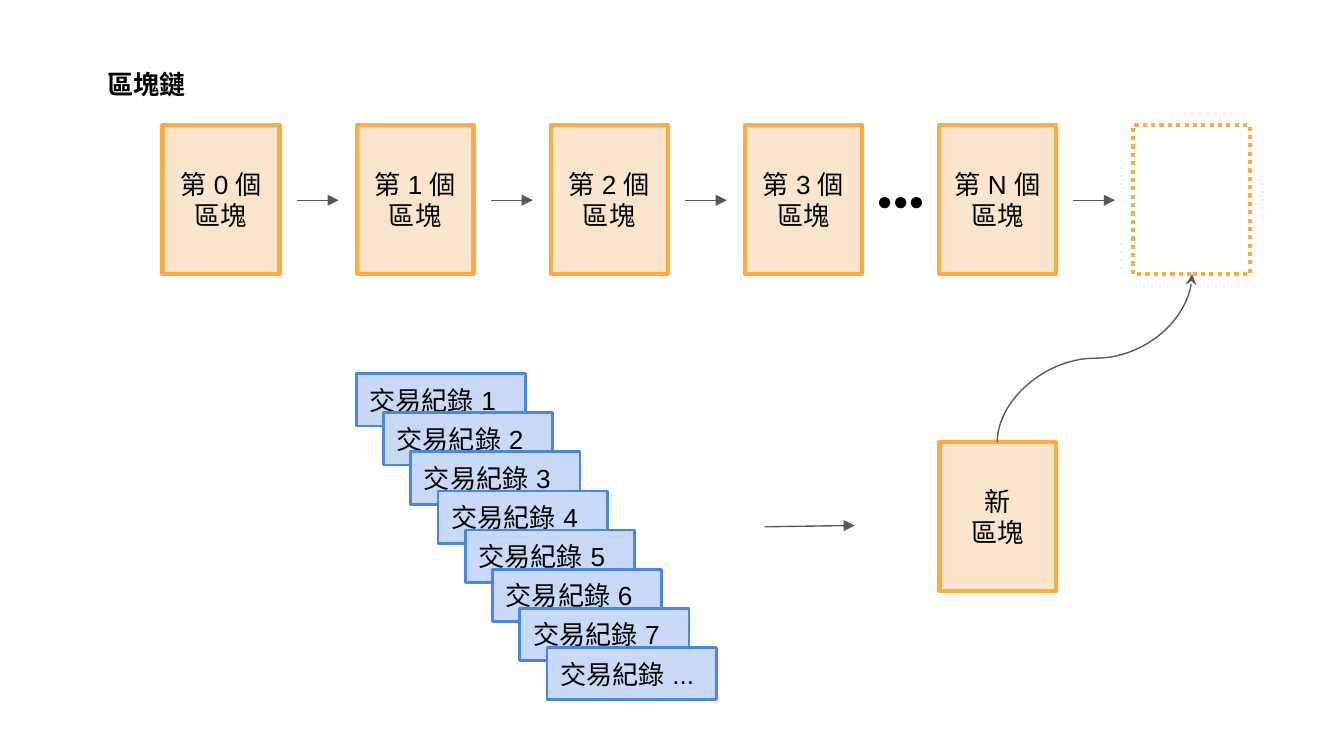
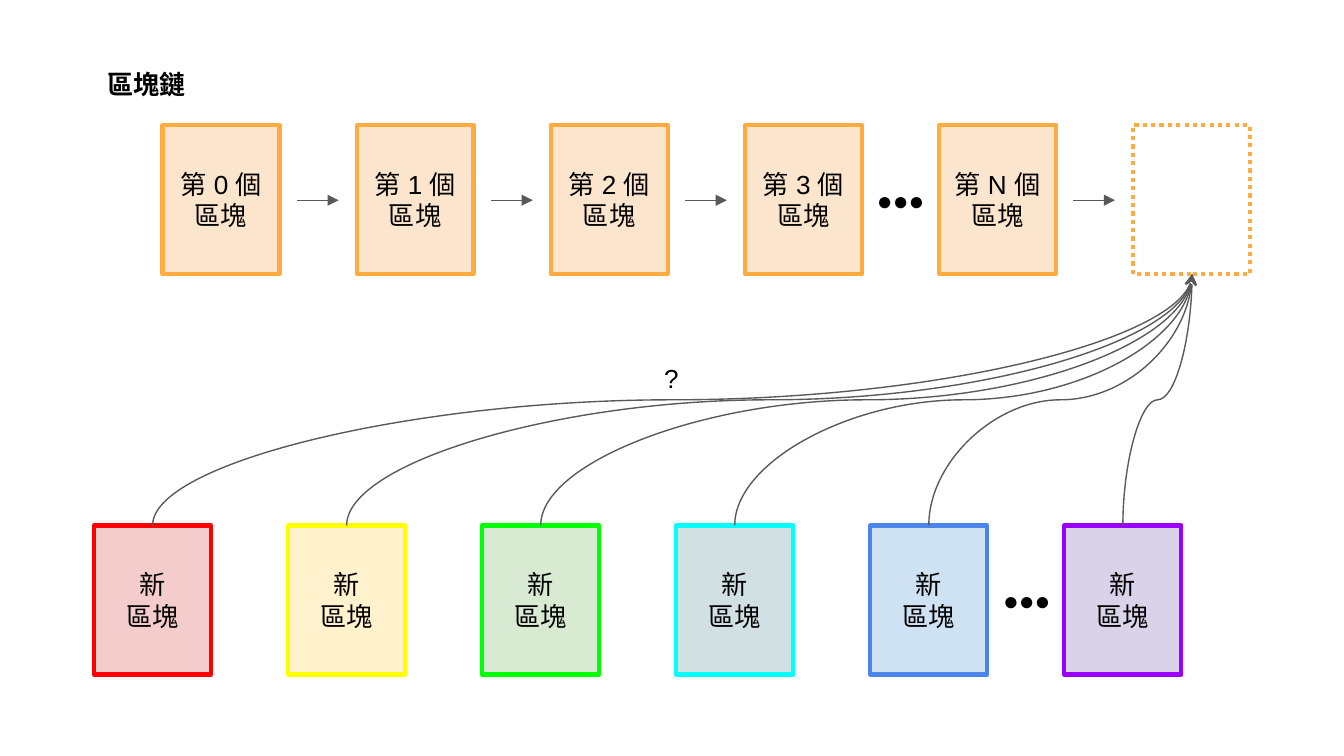
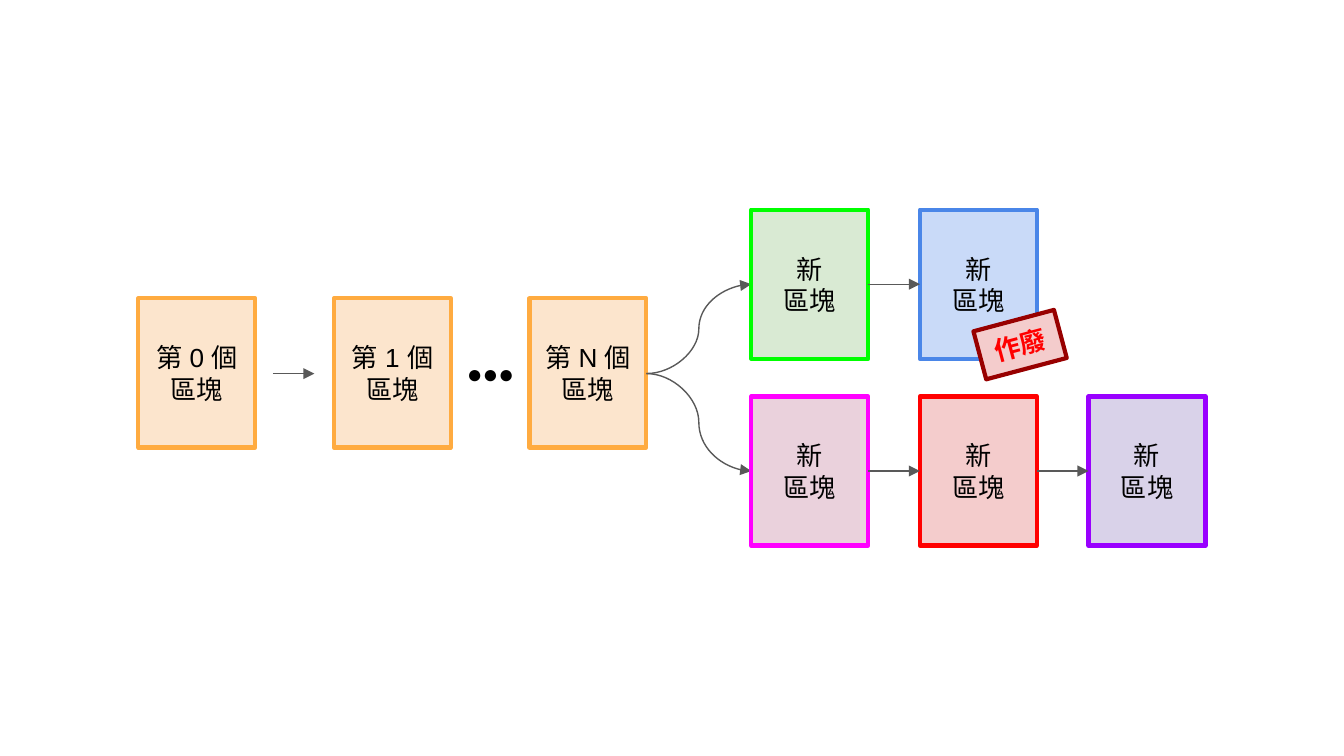
from lxml import etree
from pptx import Presentation
from pptx import util as u
from pptx.dml.color import RGBColor
from pptx.enum import dml, lang, shapes, text
from pptx.oxml import ns

deck = Presentation()
deck.slide_width, deck.slide_height = u.Inches(10), u.Inches(5.625)
cell = deck.slide_width / 100

hues = {
    "ink": "000000", "wire": "595959", "white": "FFFFFF", "stamp": "980000",
    "peach": "FCE5CD", "orange": "FFAB40", "sky": "C9DAF8", "blue": "4A86E8",
    "rose": "F4CCCC", "red": "FF0000", "cream": "FFF2CC", "yellow": "FFFF00",
    "mint": "D9EAD3", "green": "00FF00", "mist": "D0E0E3", "cyan": "00FFFF",
    "ice": "CFE2F3", "lilac": "D9D2E9", "violet": "9900FF",
    "pink": "EAD1DC", "magenta": "FF00FF",
}
rgb = {name: RGBColor.from_string(code) for name, code in hues.items()}
wide, tall, gap = 8.7, 11.1, 5.8
step = (84.3 - 12.1) / 5
fresh = "新\n區塊"
dots = "●●●"
mid, left = text.PP_ALIGN.CENTER, text.PP_ALIGN.LEFT
curve, line = shapes.MSO_CONNECTOR.CURVE, shapes.MSO_CONNECTOR.STRAIGHT


def card(page, words, col, row, w=wide, h=tall, fill=None, edge=None,
         thick=2.25, align=mid, ink="ink", bold=False, title=False):
    at = [round(n * cell) for n in (col, row, w, h)]
    if title:
        box = page.shapes.title
        box.left, box.top, box.width, box.height = at
    elif fill:
        box = page.shapes.add_shape(shapes.MSO_SHAPE.RECTANGLE, *at)
        box.shadow.inherit = False
        box.fill.solid()
        box.fill.fore_color.rgb = rgb[fill]
        box.line.color.rgb = rgb[edge]
        box.line.width = u.Pt(thick)
    else:
        box = page.shapes.add_textbox(*at)
    frame = box.text_frame
    frame.word_wrap = True
    frame.auto_size = text.MSO_AUTO_SIZE.NONE
    frame.vertical_anchor = text.MSO_ANCHOR.TOP if title else text.MSO_ANCHOR.MIDDLE
    frame.margin_left = frame.margin_right = round(cell)
    frame.margin_top = frame.margin_bottom = round(cell)
    if words:
        frame.text = words
        for para in frame.paragraphs:
            para.alignment = align
            font = para.font
            font.size, font.bold, font.name = u.Pt(14), bold, "Arial"
            font.color.rgb = rgb[ink]
            font.language_id = lang.MSO_LANGUAGE_ID.TRADITIONAL_CHINESE
            for tag in ("a:ea", "a:cs"):
                etree.SubElement(font._rPr, ns.qn(tag), typeface="Arial")
    return box


def wire(page, kind, x1, y1, x2, y2, head="triangle", rise=False):
    if rise:
        cx, cy, w, h = (x1 + x2) / 2, (y1 + y2) / 2, y1 - y2, x2 - x1
        x1, y1, x2, y2 = cx - w / 2, cy - h / 2, cx + w / 2, cy + h / 2
    link = page.shapes.add_connector(kind, *[round(n * cell) for n in (x1, y1, x2, y2)])
    link.line.color.rgb = rgb["wire"]
    link.line.width = u.Pt(0.75)
    props = link._element.spPr
    if rise:
        props.find(ns.qn("a:xfrm")).set("rot", str(270 * 60000))
    etree.SubElement(props.find(ns.qn("a:ln")), ns.qn("a:tailEnd"), type=head)
    etree.SubElement(props, ns.qn("a:effectLst"))


pages = [deck.slides.add_slide(deck.slide_layouts[n]) for n in (5, 5, 6)]

for page in pages[:2]:
    card(page, "區塊鏈", 7, 4.1, 10.1, 3.9, align=left, bold=True, title=True)
    for i, mark in enumerate("0123N"):
        col = 12.1 + i * step
        card(page, f"第 {mark} 個\n區塊", col, 9.3, fill="peach", edge="orange")
        if mark == "3":
            card(page, dots, col + wide, 9.3, gap)
        else:
            wire(page, line, col + 10, 14.9, col + 13.1, 14.9)
    slot = card(page, "", 84.3, 9.3, fill="white", edge="orange")
    slot.line.dash_style = dml.MSO_LINE.ROUND_DOT

page = pages[0]
for i, mark in enumerate([*range(1, 8), "..."]):
    card(page, f"交易紀錄 {mark}", 26.5 + i * 2.03, 27.8 + i * 2.91, 12.6, 3.9,
         "sky", "blue", 1.5, left)
wire(page, line, 56.9, 39.2, 63.6, 39.1)
card(page, fresh, 69.9, 32.9, fill="peach", edge="orange")
wire(page, curve, 74.2, 32.9, 88.7, 20.4, "stealth", True)

page = pages[1]
pairs = [("rose", "red"), ("cream", "yellow"), ("mint", "green"),
         ("mist", "cyan"), ("ice", "blue"), ("lilac", "violet")]
for i, (fill, edge) in enumerate(pairs):
    col = 7 + i * step
    card(page, fresh, col, 39.1, fill=fill, edge=edge)
    wire(page, curve, col + wide / 2, 39.1, 88.7, 20.4, "stealth", True)
card(page, dots, 73.5, 39.1, gap)
card(page, "?", 48.4, 26.2, 3.1, 3.9)

page = pages[2]
for i, mark in enumerate("01N"):
    card(page, f"第 {mark} 個\n區塊", 10.3 + i * 14.55, 22.2, fill="peach", edge="orange")
wire(page, line, 20.3, 27.8, 23.4, 27.8)
card(page, dots, 33.6, 22.2, gap)
forks = [(15.6, [("mint", "green"), ("sky", "blue")]),
         (29.5, [("pink", "magenta"), ("rose", "red"), ("lilac", "violet")])]
for row, chain in forks:
    axis = row + tall / 2
    wire(page, curve, 48.1, 27.8, 55.9, axis)
    for i, (fill, edge) in enumerate(chain):
        col = 55.9 + i * 12.55
        card(page, fresh, col, row, fill=fill, edge=edge)
        if i:
            wire(page, curve, col - 12.55 + wide, axis, col, axis)
stamp = card(page, "作廢", 72.8, 23.8, 6.2, 3.7, "rose", "stamp", ink="red", bold=True)
stamp.rotation = 345.1

deck.save("out.pptx")
